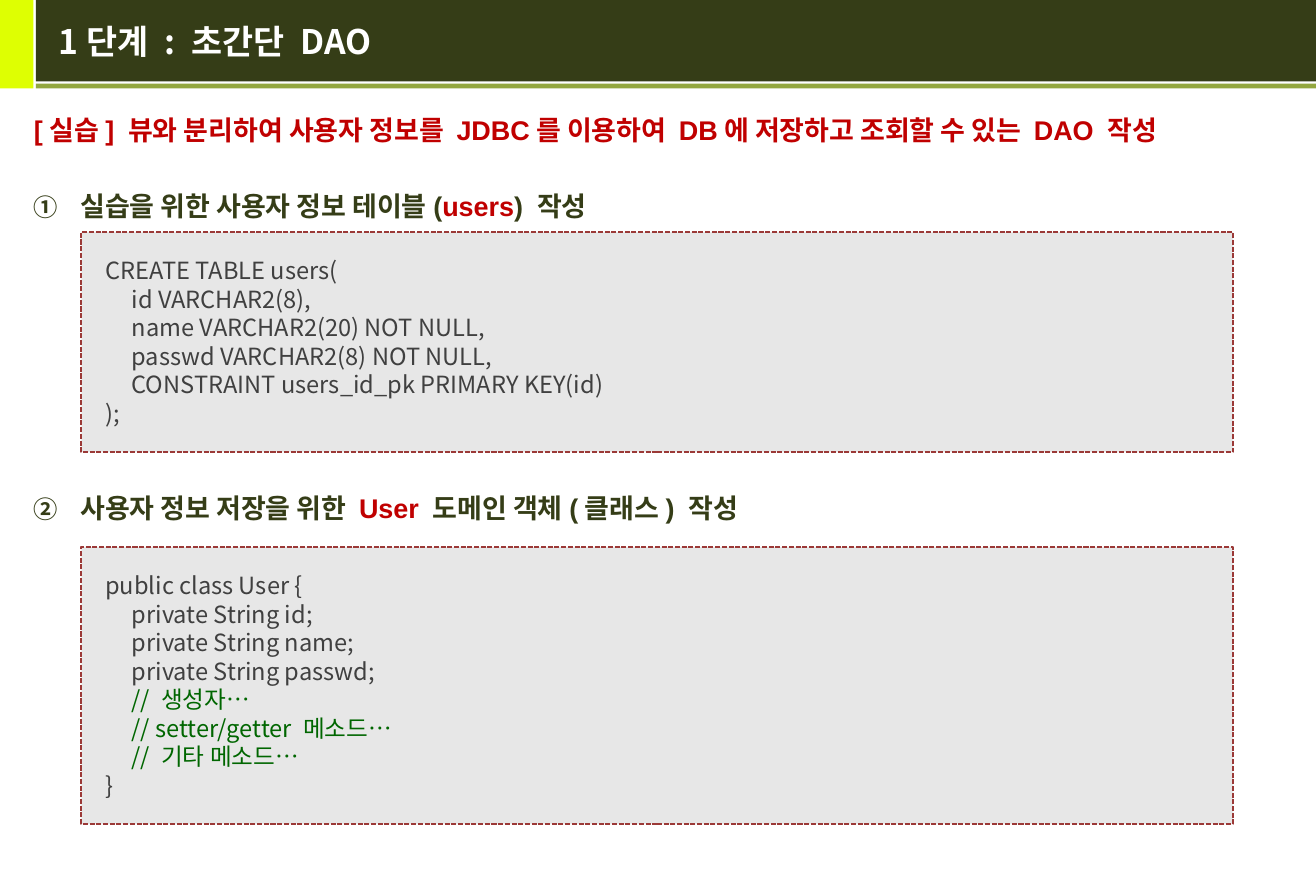
"""Build the slide on step one: a very simple DAO."""
from lxml import etree
from pptx import Presentation
from pptx import util as u
from pptx.dml.color import RGBColor
from pptx.enum import dml, shapes, text
from pptx.oxml.ns import qn

NOTO = "Noto Sans CJK KR"
RED, OLIVE, GREY, GREEN = "C00000", "353D17", "404040", "006600"

TABLE = """CREATE TABLE users(
     id VARCHAR2(8),
     name VARCHAR2(20) NOT NULL,
     passwd VARCHAR2(8) NOT NULL,
     CONSTRAINT users_id_pk PRIMARY KEY(id)
);"""
CLASS = """public class User {
     private String id;
     private String name;
     private String passwd;
     // 생성자…
     // setter/getter 메소드…
     // 기타 메소드…
}"""


def paint(form, tone):
    form.fore_color.rgb = RGBColor.from_string(tone)


def add(node, tag, **attrs):
    return etree.SubElement(node, qn(tag), attrs)


def style(run, size, tone, face=NOTO, bold=False):
    font = run.font
    font.size, font.bold, font.name = u.Pt(size), bold, face
    font.color.rgb = RGBColor.from_string(tone)
    latin = run._r.rPr.find(qn("a:latin"))
    latin.addnext(etree.Element(qn("a:ea"), typeface=NOTO))


def rect(slide, left, top, width, height, tone):
    box = slide.shapes.add_shape(
        shapes.MSO_SHAPE.RECTANGLE, *map(u.Cm, (left, top, width, height)))
    box.shadow.inherit = False
    box.fill.solid()
    paint(box.fill, tone)
    box.line.fill.background()
    return box


def title(slide, words):
    head = slide.shapes.title
    head.left, head.top, head.width, head.height = map(u.Cm, (0.97, 0, 26.2, 1.73))
    frame = head.text_frame
    frame.text = words
    frame.auto_size = text.MSO_AUTO_SIZE.NONE
    frame.vertical_anchor = text.MSO_ANCHOR.MIDDLE
    para = frame.paragraphs[0]
    para.alignment = text.PP_ALIGN.LEFT
    style(para.runs[0], 20, "FFFFFF", bold=True)
    slide.shapes._spTree.append(head._element)


def label(slide, top, parts, count=0):
    box = slide.shapes.add_textbox(*map(u.Cm, (0.46, top, 26.59, 0.82)))
    frame = box.text_frame
    frame.word_wrap = True
    frame.vertical_anchor = text.MSO_ANCHOR.MIDDLE
    frame.margin_top = frame.margin_bottom = 0
    para = frame.paragraphs[0]
    if count:
        props = para._p.get_or_add_pPr()
        props.set("marL", str(u.Cm(0.97)))
        props.set("indent", str(-u.Cm(0.97)))
        add(add(props, "a:buClr"), "a:srgbClr", val=OLIVE)
        add(props, "a:buSzPct", val="90000")
        add(props, "a:buAutoNum", type="circleNumDbPlain", startAt=str(count))
    for words, tone in parts:
        run = para.add_run()
        run.text = words
        style(run, 16, tone, "Arial", True)


def code(slide, top, height, lines):
    box = rect(slide, 1.7, top, 24.08, height, "808080")
    add(box.fill._xPr.find(".//" + qn("a:srgbClr")), "a:alpha", val="19000")
    box.line.fill.solid()
    box.line.color.rgb = RGBColor.from_string("9B3937")
    box.line.width = u.Pt(1)
    box.line.dash_style = dml.MSO_LINE.SQUARE_DOT
    frame = box.text_frame
    frame.text = lines
    frame.vertical_anchor = text.MSO_ANCHOR.TOP
    frame.margin_left = frame.margin_right = u.Cm(0.5)
    frame.margin_top = frame.margin_bottom = u.Cm(0.5)
    for para in frame.paragraphs:
        para.alignment = text.PP_ALIGN.LEFT
        para.line_spacing = u.Pt(16.9)
        note = para.text.strip().startswith("//")
        style(para.runs[0], 14, GREEN if note else GREY)


def main():
    deck = Presentation()
    deck.slide_width, deck.slide_height = u.Cm(27.51), u.Cm(18.49)
    slide = deck.slides.add_slide(deck.slide_layouts[5])
    rect(slide, 0, 0, 0.7, 1.85, "DEFF02")
    rect(slide, 0.75, 0, 26.76, 1.7, OLIVE)
    rect(slide, 0.75, 1.75, 26.76, 0.1, "93A73F")
    title(slide, "1단계 : 초간단 DAO")
    label(slide, 2.31, [("[실습] 뷰와 분리하여 사용자 정보를 JDBC를 이용하여 "
                         "DB에 저장하고 조회할 수 있는 DAO 작성", RED)])
    label(slide, 3.88, [("실습을 위한 사용자 정보 테이블(", OLIVE),
                        ("users", RED), (") 작성", OLIVE)], 1)
    code(slide, 4.85, 4.6, TABLE)
    label(slide, 10.19, [("사용자 정보 저장을 위한 ", OLIVE),
                         ("User ", RED), ("도메인 객체(클래스) 작성", OLIVE)], 2)
    code(slide, 11.43, 5.79, CLASS)
    deck.save("out.pptx")


if __name__ == "__main__":
    main()
